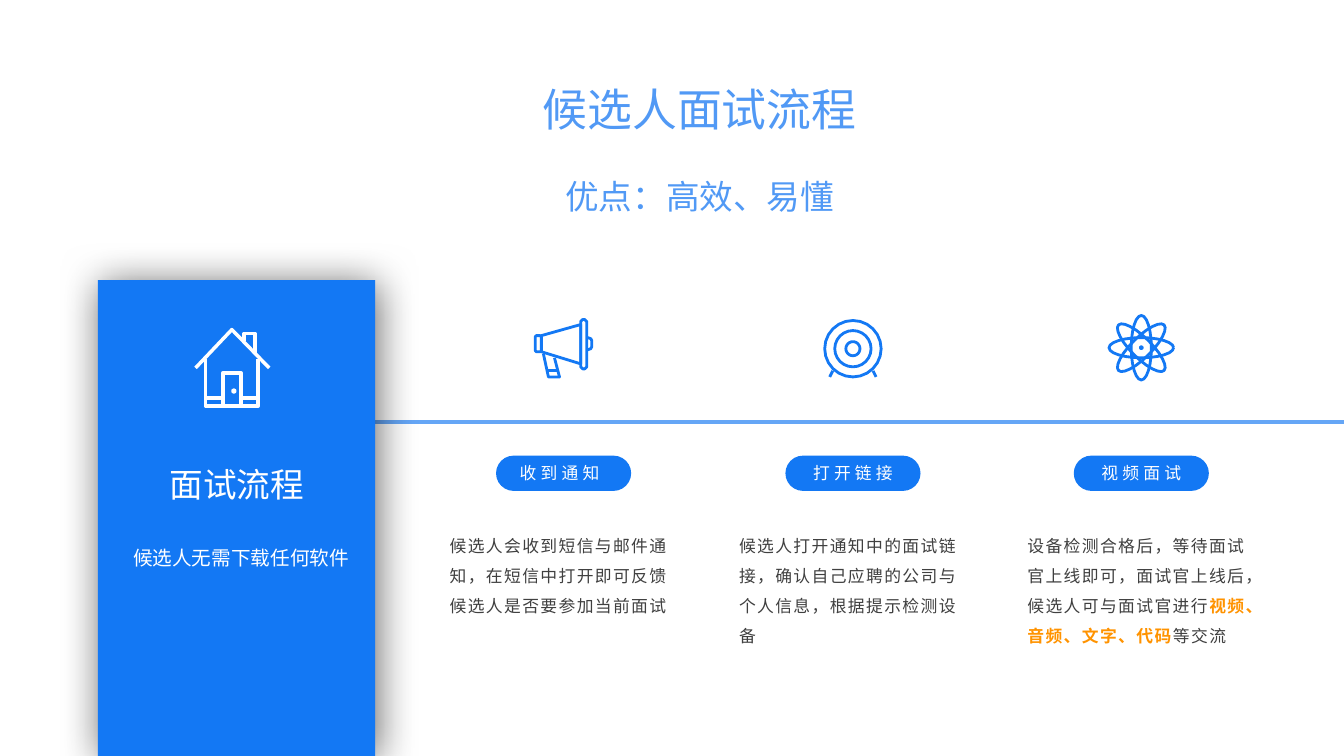
from math import cos, radians, sin

from lxml.etree import SubElement
from pptx import Presentation
from pptx.dml.color import RGBColor
from pptx.enum.shapes import MSO_CONNECTOR, MSO_SHAPE
from pptx.enum.text import MSO_ANCHOR, MSO_AUTO_SIZE, PP_ALIGN
from pptx.oxml.ns import qn
from pptx.util import Inches, Pt

BLUE, TITLE_BLUE, LINE_BLUE = "1378F4", "5199F5", "65A6F6"
WHITE, GREY, ORANGE = "FFFFFF", "404040", "FF9300"
CJK, LATIN = "Noto Sans CJK SC", "Roboto"

TITLE, SUBTITLE = "候选人面试流程", "优点：高效、易懂"
PANEL_TITLE, PANEL_NOTE = "面试流程", "候选人无需下载任何软件"
# Each step: left edge, label, then runs of (text, highlighted)
STEPS = [
    (4.41, "收到通知 ", [("候选人会收到短信与邮件通知，在短信中打开即可反馈候选人是否要参加当前面试", False)]),
    (7.28, "打开链接", [("候选人打开通知中的面试链接，确认自己应聘的公司与个人信息，根据提示检测设备", False)]),
    (10.14, "视频面试", [("设备检测合格后，等待面试官上线即可，面试官上线后，候选人可与面试官进行", False),
                     ("视频、音频、文字、代码", True), ("等交流", False)]),
]
STEP_WIDTH, PILL_WIDTH, ICON_Y = 2.36, 1.34, 3.46


def ellipse(x, y, radius_x, radius_y, turn=0, sides=24):
    """Corners of a closed, turned ellipse."""
    points = []
    for corner in range(sides + 1):
        angle = radians(360 * corner / sides)
        across, down = radius_x * cos(angle), radius_y * sin(angle)
        points.append((x + across * cos(radians(turn)) - down * sin(radians(turn)),
                       y + across * sin(radians(turn)) + down * cos(radians(turn))))
    return points


def soft_box(left, top, right, bottom, cut=0.02):
    """Corners of a closed box with cut corners."""
    return [(left + cut, top), (right - cut, top), (right, top + cut), (right, bottom - cut),
            (right - cut, bottom), (left + cut, bottom), (left, bottom - cut),
            (left, top + cut), (left + cut, top)]


# Icon strokes, in inches from the centre of the icon
HOUSE = [
    [(-0.36, 0), (0, -0.38), (0.37, 0)],
    [(-0.26, -0.09), (-0.26, 0.38), (0.26, 0.38), (0.26, -0.09)],
    [(0.12, -0.27), (0.12, -0.34), (0.23, -0.34), (0.23, -0.15)],
    [(-0.09, 0.37), (-0.09, 0.05), (0.09, 0.05), (0.09, 0.37)],
    [(-0.26, 0.3), (-0.09, 0.3)],
    [(0.09, 0.3), (0.26, 0.3)],
    ellipse(0.02, 0.23, 0.01, 0.01, sides=6),
]
MEGAPHONE = [
    [(-0.22, -0.13), (0.17, -0.24), (0.17, 0.15), (-0.22, 0.03)],
    [(-0.2, 0.05), (-0.15, 0.28), (-0.04, 0.28), (-0.09, 0.09)],
    [(-0.16, 0.22), (-0.05, 0.22)],
    [(0.24, -0.11), (0.27, -0.1), (0.28, -0.08), (0.28, -0.02), (0.27, 0), (0.24, 0.01)],
    soft_box(0.17, -0.29, 0.23, 0.2),
    soft_box(-0.28, -0.13, -0.22, 0.03, cut=0.01),
]
TARGET = [ellipse(0, 0, radius, radius) for radius in (0.28, 0.18, 0.07)]
TARGET += [[(side * 0.2, 0.22), (side * 0.23, 0.28)] for side in (-1, 1)]
ATOM = [ellipse(0, -0.01, 0.32, 0.1, turn) for turn in range(0, 180, 45)]
ATOM += [ellipse(0, -0.01, 0.01, 0.01, sides=6)]


def rgb(color):
    return RGBColor.from_string(color)


def add_runs(paragraph, runs, size, color, font=CJK, spacing=0, align=None, line_spacing=1.0):
    """Fill a paragraph with (text, highlighted) runs, or with one plain string."""
    paragraph.alignment = align
    paragraph.line_spacing = line_spacing
    paragraph.space_before = Pt(0)
    for text, highlighted in [(runs, False)] if isinstance(runs, str) else runs:
        run = paragraph.add_run()
        run.text = text
        run.font.size = Pt(size)
        run.font.name = font
        run.font.bold = highlighted
        run.font.color.rgb = rgb(ORANGE if highlighted else color)
        properties = run.font._element
        SubElement(properties, qn("a:ea")).set("typeface", font)
        if spacing:
            properties.set("spc", str(spacing * 100))


def add_text(slide, box, runs, **text_format):
    frame = slide.shapes.add_textbox(*map(Inches, box)).text_frame
    frame.word_wrap = True
    frame.margin_left = frame.margin_right = Inches(0.05)
    frame.margin_top = frame.margin_bottom = Inches(0.02)
    add_runs(frame.paragraphs[0], runs, **text_format)


def add_shape(slide, kind, box, fill):
    shape = slide.shapes.add_shape(kind, *map(Inches, box))
    shape.shadow.inherit = False
    shape.fill.solid()
    shape.fill.fore_color.rgb = rgb(fill)
    shape.line.fill.background()
    return shape


def add_icon(slide, center, strokes, color, width=2):
    """Draw all strokes of an icon as one outline."""
    contours = [[(Inches(center[0] + x), Inches(center[1] + y)) for x, y in stroke]
                for stroke in strokes]
    builder = slide.shapes.build_freeform(*contours[0][0])
    for index, (start, *corners) in enumerate(contours):
        if index:
            builder.move_to(*start)
        builder.add_line_segments(corners, close=False)
    icon = builder.convert_to_shape()
    icon.shadow.inherit = False
    icon.fill.background()
    icon.line.color.rgb = rgb(color)
    icon.line.width = Pt(width)


def add_timeline(slide):
    ends = map(Inches, (2.62, 4.19, 13.33, 4.19))
    timeline = slide.shapes.add_connector(MSO_CONNECTOR.STRAIGHT, *ends)
    timeline.line.color.rgb = rgb(LINE_BLUE)
    timeline.line.width = Pt(3)
    SubElement(timeline._element.spPr, qn("a:effectLst"))


def add_panel(slide):
    panel = add_shape(slide, MSO_SHAPE.RECTANGLE, (0.97, 2.78, 2.75, 4.72), BLUE)
    effects = panel._element.spPr.find(qn("a:effectLst"))
    shadow = SubElement(effects, qn("a:outerShdw"), blurRad=str(Pt(30)), dist=str(Pt(3)),
                        dir="2700000", algn="ctr", rotWithShape="0")
    color = SubElement(shadow, qn("a:srgbClr"), val="000000")
    SubElement(color, qn("a:alpha"), val="60000")
    add_text(slide, (1.44, 4.58, 1.82, 0.95), PANEL_TITLE, size=24, color=WHITE,
             font=LATIN, align=PP_ALIGN.CENTER)
    add_text(slide, (1.27, 5.28, 2.38, 0.5), PANEL_NOTE, size=14, color=WHITE, line_spacing=1.5)
    add_icon(slide, (2.3, 3.65), HOUSE, WHITE, 2.5)


def add_step(slide, left, label, runs, icon):
    center = left + STEP_WIDTH / 2
    add_icon(slide, (center, ICON_Y), icon, BLUE)
    pill = add_shape(slide, MSO_SHAPE.ROUNDED_RECTANGLE,
                     (center - PILL_WIDTH / 2, 4.52, PILL_WIDTH, 0.35), BLUE)
    pill.adjustments[0] = 0.5
    pill.text_frame.vertical_anchor = MSO_ANCHOR.MIDDLE
    add_runs(pill.text_frame.paragraphs[0], label, size=12, color=WHITE, spacing=3,
             align=PP_ALIGN.CENTER)
    add_text(slide, (left, 5.19, STEP_WIDTH, 1.2), runs, size=12, color=GREY, spacing=1,
             line_spacing=1.5)


def add_title(slide):
    title = slide.shapes.title
    title.left, title.top, title.width, title.height = map(Inches, (3.66, 0.76, 6.56, 1.34))
    frame = title.text_frame
    frame.vertical_anchor = MSO_ANCHOR.TOP
    frame.auto_size = MSO_AUTO_SIZE.SHAPE_TO_FIT_TEXT
    heading = {"color": TITLE_BLUE, "font": LATIN, "align": PP_ALIGN.CENTER}
    add_runs(frame.paragraphs[0], TITLE, size=32, **heading)
    add_runs(frame.add_paragraph(), SUBTITLE, size=24, line_spacing=2.0, **heading)


def main():
    presentation = Presentation()
    presentation.slide_width, presentation.slide_height = Inches(13.33), Inches(7.5)
    slide = presentation.slides.add_slide(presentation.slide_layouts[5])
    add_title(slide)
    add_timeline(slide)
    add_panel(slide)
    for (left, label, runs), icon in zip(STEPS, (MEGAPHONE, TARGET, ATOM)):
        add_step(slide, left, label, runs, icon)
    presentation.save("out.pptx")


if __name__ == "__main__":
    main()
